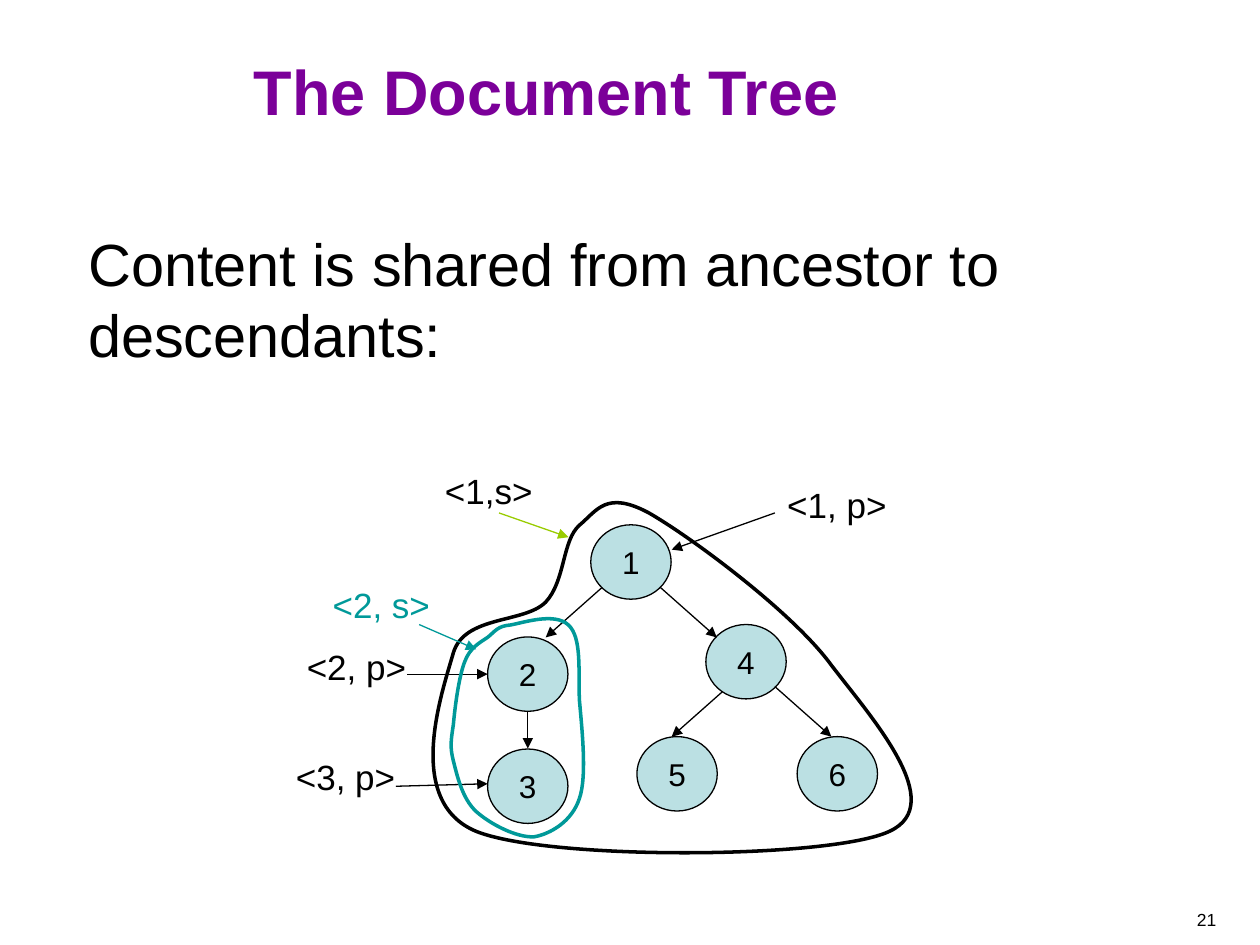
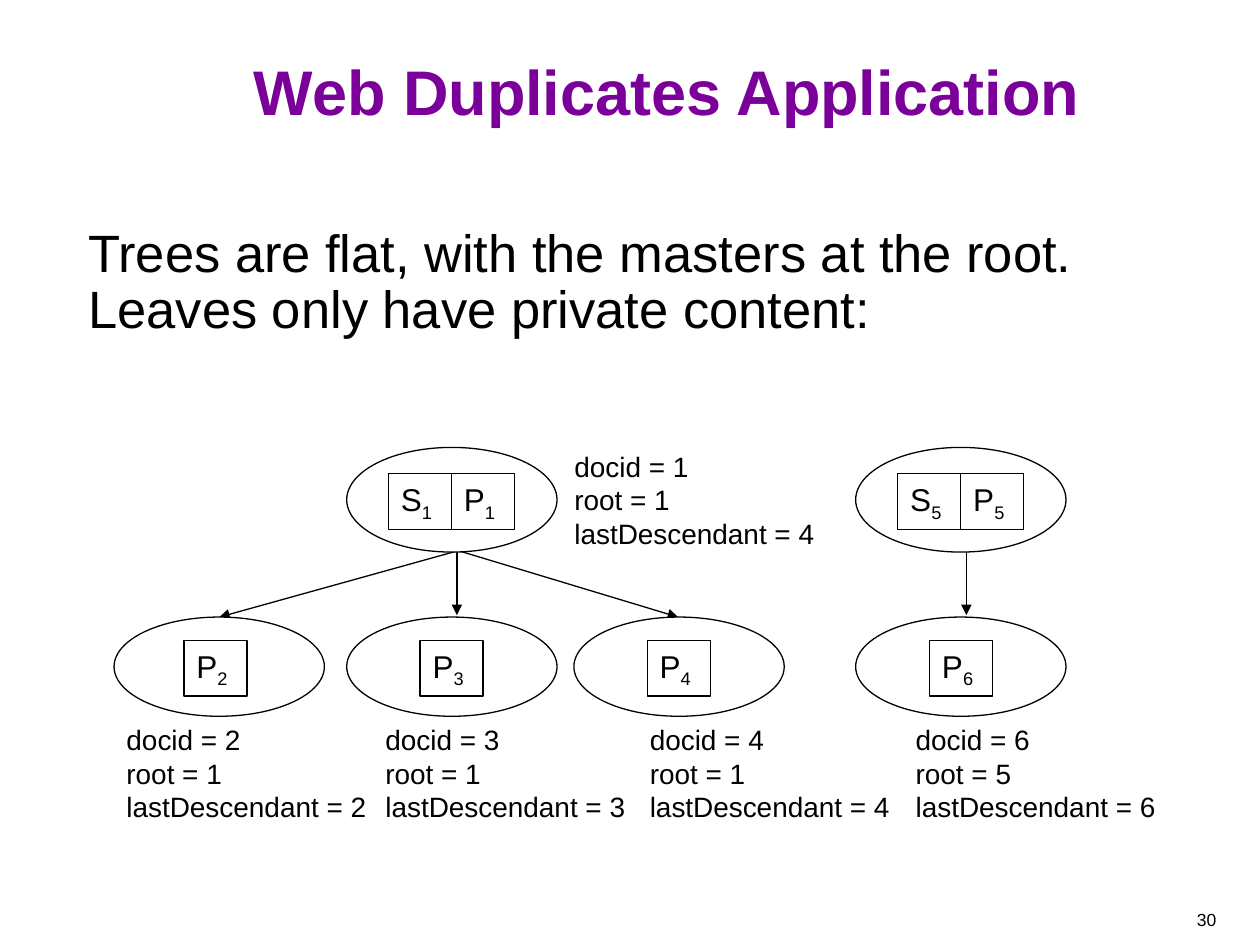
from lxml import etree
from pptx import Presentation
from pptx import util as u
from pptx.dml.color import RGBColor
from pptx.enum import shapes, text
from pptx.oxml.ns import qn

Cm, Pt = u.Cm, u.Pt
FONT = "Arial"
COLOURS = {
    "title": "7B0099",
    "ink": "000000",
    "node": "BBE0E3",
    "paper": "FFFFFF",
    "teal": "009999",
    "lime": "99CC00",
}
LEFT, CENTRE, RIGHT = text.PP_ALIGN.LEFT, text.PP_ALIGN.CENTER, text.PP_ALIGN.RIGHT
TOP, MIDDLE = text.MSO_ANCHOR.TOP, text.MSO_ANCHOR.MIDDLE

# Places and lengths are in centimetres.

# Document tree
NODE_SIZE = (1.62, 1.5)
NODES = {
    "1": (11.91, 10.58), "2": (9.83, 12.84), "3": (9.83, 15.1),
    "4": (14.23, 12.59), "5": (12.84, 14.85), "6": (16.07, 14.85),
}
BRANCHES = [
    ((14.68, 13.84), (13.54, 14.85)),
    ((12.14, 11.84), (11, 12.85)),
    ((13.31, 11.84), (14.45, 12.85)),
    ((15.62, 13.84), (16.76, 14.85)),
    ((10.64, 14.35), (10.64, 15.09)),
]
# label, place and width, alignment, text colour, arrow start, arrow end, arrow colour
BACKED_POINTER = (
    "<1,s>", (7.74, 9.33, 3.25), RIGHT, "ink", (10.06, 10.34), (11.46, 10.83), "lime")
POINTERS = [
    ("<1, p>", (15.62, 9.63, 5.56), LEFT, "ink", (15.62, 10.34), (13.54, 11.08), "ink"),
    ("<2, p>", (5.9, 12.88, 2.54), RIGHT, "ink", (8.21, 13.59), (9.83, 13.59), "ink"),
    ("<3, p>", (5.1, 15.1, 3.12), RIGHT, "ink", (7.98, 15.85), (9.83, 15.8), "ink"),
    ("<2, s>", (5.9, 11.63, 3.02), RIGHT, "teal", (8.45, 12.59), (9.6, 13.09), "teal"),
]
# start, then Bezier pieces (two controls and an end)
TREE_AREA = [
    (11.68, 10.59),
    (11.33, 10.9), (11.4, 11.71), (11, 12.14),
    (10.57, 12.57), (9.37, 12.4), (9.14, 13.16),
    (8.92, 13.94), (8.13, 16.15), (9.6, 16.76),
    (11.07, 17.35), (16.74, 17.32), (17.93, 16.76),
    (19.13, 16.21), (17.58, 14.48), (16.76, 13.41),
    (15.98, 12.34), (13.92, 10.82), (13.08, 10.34),
    (12.22, 9.88), (12.04, 10.29), (11.68, 10.59),
]
BRANCH_AREA = [
    (10.29, 12.6),
    (10.03, 12.62), (9.98, 12.73), (9.83, 12.85),
    (9.68, 12.95), (9.47, 13.06), (9.37, 13.34),
    (9.25, 13.64), (9.17, 14.27), (9.14, 14.61),
    (9.09, 14.94), (9.07, 15.06), (9.14, 15.34),
    (9.22, 15.65), (9.32, 16.1), (9.6, 16.36),
    (9.88, 16.61), (10.41, 16.89), (10.77, 16.87),
    (11.1, 16.81), (11.53, 16.56), (11.68, 16.1),
    (11.84, 15.65), (11.73, 14.68), (11.68, 14.1),
    (11.66, 13.51), (11.73, 12.85), (11.46, 12.6),
    (11.18, 12.34), (10.57, 12.55), (10.29, 12.6),
]

# Web duplicates
OVAL_WIDTH = 4.24
CELL_SIZE = (1.27, 1.12)
# level: oval top, oval height, cell top, cell letters
LEVELS = {"root": (9.02, 2.11, 9.55, "SP"), "leaf": (12.44, 2, 12.91, "P")}
# docid, root, last descendant, level, oval left, cell left, label place and width
DOCUMENTS = [
    (1, 1, 4, "root", 6.99, 7.83, (11.33, 8.93, 5.56)),
    (2, 1, 2, "leaf", 2.3, 3.71, (2.3, 14.44, 5.92)),
    (3, 1, 3, "leaf", 6.99, 8.47, (7.52, 14.44, 5.79)),
    (4, 1, 4, "leaf", 11.57, 13.05, (12.85, 14.44, 5.54)),
    (5, 5, 6, "root", 17.25, 18.1, None),
    (6, 5, 6, "leaf", 17.25, 18.74, (18.21, 14.44, 5.69)),
]
# leaf end with the arrowhead, root end
LINKS = [
    ((13.67, 12.44), (9.07, 11.05)),
    ((9.21, 12.4), (9.21, 10.19)),
    ((4.42, 12.44), (9.42, 11.05)),
    ((19.48, 12.4), (19.48, 10.19)),
]


def rgb(name):
    return RGBColor.from_string(COLOURS[name])


def style(para, size, colour="ink", align=LEFT, bold=False):
    para.alignment = align
    para.font.name = FONT
    para.font.size = Pt(size)
    para.font.bold = bold
    para.font.color.rgb = rgb(colour)


def paint(shape, fill=None, line=None, width=0.75):
    """Set fill and line; None leaves either out."""
    shape.shadow.inherit = False
    for part, colour in ((shape.fill, fill), (shape.line.fill, line)):
        if colour:
            part.solid()
            part.fore_color.rgb = rgb(colour)
        else:
            part.background()
    if line:
        shape.line.width = Pt(width)


def add_preset(page, kind, place, fill=None, line="ink"):
    shape = page.shapes.add_shape(kind, *map(Cm, place))
    paint(shape, fill, line)
    return shape


def write(box, lines, size, colour="ink", align=LEFT, bold=False, anchor=TOP):
    frame = box.text_frame
    frame.word_wrap = True
    frame.vertical_anchor = anchor
    frame.text = "\n".join(lines)
    for para in frame.paragraphs:
        style(para, size, colour, align, bold)
    return frame.paragraphs[0]


def add_text(page, place, *content, **look):
    return write(page.shapes.add_textbox(*map(Cm, place)), *content, **look)


def add_arrow(page, start, end, colour="ink", tip="tailEnd"):
    arrow = page.shapes.add_connector(
        shapes.MSO_CONNECTOR.STRAIGHT, *map(Cm, start + end))
    arrow.line.color.rgb = rgb(colour)
    arrow.line.width = Pt(0.75)
    line = arrow._element.spPr.find(qn("a:ln"))
    etree.SubElement(line, qn(f"a:{tip}"), type="triangle")
    etree.SubElement(arrow._element.spPr, qn("a:effectLst"))


def add_closed_curve(page, points, colour):
    """Build an outline, then turn each three line steps into one Bezier piece."""
    builder = page.shapes.build_freeform(*map(Cm, points[0]))
    builder.add_line_segments([tuple(map(Cm, point)) for point in points[1:]], close=True)
    shape = builder.convert_to_shape()
    steps = list(shape._element.iter(qn("a:lnTo")))
    for first in range(0, len(points) - 1, 3):
        curve = etree.Element(qn("a:cubicBezTo"))
        steps[first].addprevious(curve)
        for step in steps[first:first + 3]:
            curve.append(step[0])
    for step in steps:
        step.getparent().remove(step)
    paint(shape, line=colour, width=2)


def add_cell(page, left, top, letter, index):
    """Draw a box holding a letter with a subscript."""
    box = add_preset(page, shapes.MSO_SHAPE.RECTANGLE, (left, top) + CELL_SIZE)
    para = write(box, [letter], 18)
    para.space_before = Pt(11.2)
    span = para.add_run()
    span.text = str(index)
    span.font._element.set("baseline", "-25000")


def add_page(deck, title, body, body_size, number):
    page = deck.slides.add_slide(deck.slide_layouts[6])
    add_text(page, (4.87, 0.23, 19.69, 3.18), [title], 36, "title", bold=True, anchor=MIDDLE)
    para = add_text(page, (1.53, 4.45, 22.4, 3.6), [body], body_size)
    add_text(page, (19.49, 18.21, 5.28, 0.84), [str(number)], 10, align=RIGHT)
    return page, para


def add_pointer(page, label, place, align, colour, start, end, arrow_colour, backed=False):
    place += (1.12,)
    if backed:
        box = add_preset(page, shapes.MSO_SHAPE.RECTANGLE, place, "paper", None)
        write(box, [label], 20, colour, align)
    else:
        add_text(page, place, [label], 20, colour, align)
    add_arrow(page, start, end, arrow_colour)


def build_document_tree(deck):
    page, body = add_page(
        deck, "The Document Tree", "Content is shared from ancestor to descendants:", 34, 21)
    body.space_before = Pt(14.9)
    add_arrow(page, *BRANCHES[0])
    add_pointer(page, *BACKED_POINTER, backed=True)
    for name, place in NODES.items():
        node = add_preset(page, shapes.MSO_SHAPE.OVAL, place + NODE_SIZE, "node")
        write(node, [name], 18, align=CENTRE, anchor=MIDDLE)
        node.text_frame.word_wrap = False
    for branch in BRANCHES[1:]:
        add_arrow(page, *branch)
    add_closed_curve(page, TREE_AREA, "ink")
    for pointer in POINTERS:
        add_pointer(page, *pointer)
    add_closed_curve(page, BRANCH_AREA, "teal")


def build_web_duplicates(deck):
    page, body = add_page(
        deck, "Web Duplicates Application",
        "Trees are flat, with the masters at the root. Leaves only have private content:", 30, 30)
    body.space_before = Pt(13.1)
    body.line_spacing = 0.9
    for leaf_end, root_end in LINKS:
        add_arrow(page, leaf_end, root_end, tip="headEnd")
    for docid, root, last, level, left, cell_left, label_place in DOCUMENTS:
        top, height, cell_top, letters = LEVELS[level]
        add_preset(page, shapes.MSO_SHAPE.OVAL, (left, top, OVAL_WIDTH, height), "paper")
        for column, letter in enumerate(letters):
            add_cell(page, cell_left + column * CELL_SIZE[0], cell_top, letter, docid)
        if label_place:
            facts = [f"docid = {docid}", f"root = {root}", f"lastDescendant = {last}"]
            add_text(page, label_place + (2.29,), facts, 16)


def main():
    deck = Presentation()
    deck.slide_width, deck.slide_height = Cm(25.4), Cm(19.05)
    build_document_tree(deck)
    build_web_duplicates(deck)
    deck.save("out.pptx")


if __name__ == "__main__":
    main()
